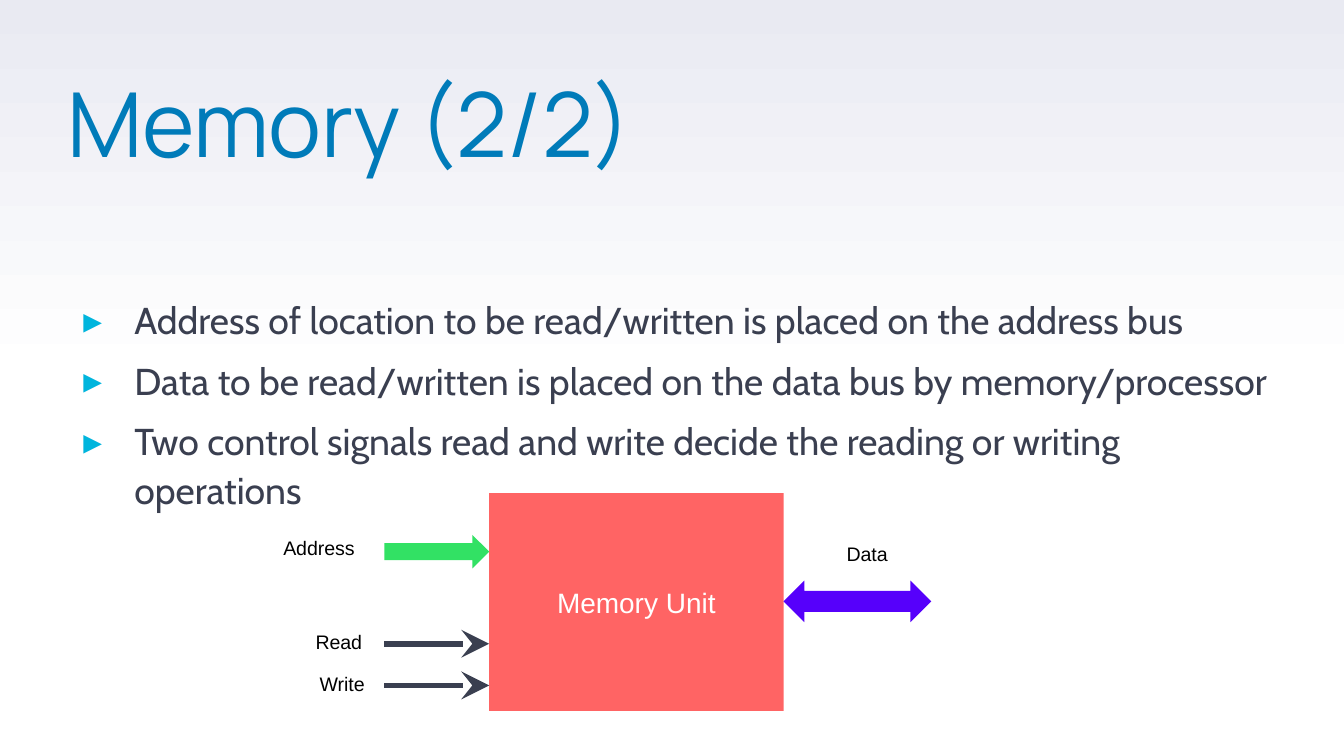
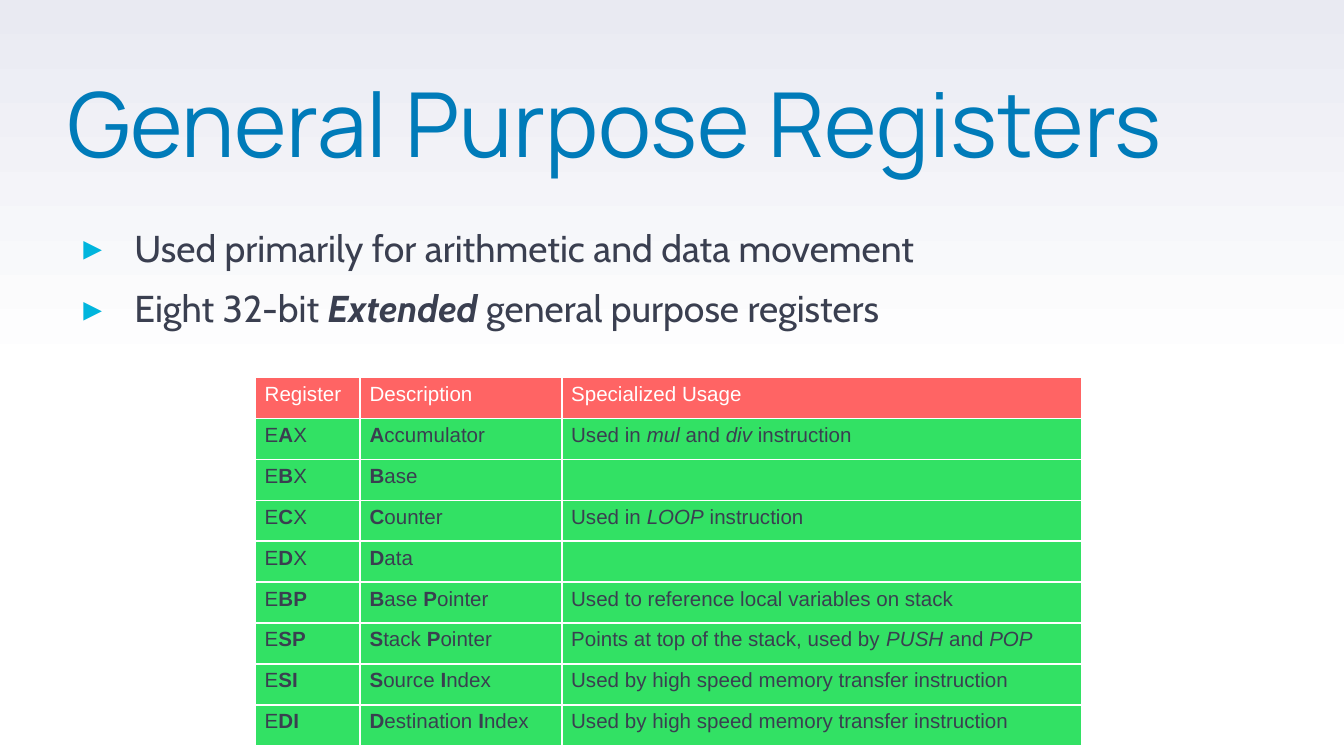
import lxml.etree
import pptx
import pptx.dml.color
import pptx.enum.shapes
import pptx.enum.text
import pptx.oxml.ns
import pptx.util

Inches = pptx.util.Inches
Pt = pptx.util.Pt
qn = pptx.oxml.ns.qn
SHAPE = pptx.enum.shapes.MSO_SHAPE
ALIGN = pptx.enum.text.PP_ALIGN
ANCHOR = pptx.enum.text.MSO_ANCHOR

COLORS = {
    "title": "007BB9",
    "body": "3A3F50",
    "bullet": "00B5DD",
    "red": "FF6464",
    "green": "32E164",
    "purple": "5600FB",
    "white": "FFFFFF",
    "black": "000000",
    "haze": "E9EAF2",
}


def rgb(name):
    return pptx.dml.color.RGBColor.from_string(COLORS[name])


def add_node(parent, tag, **attrs):
    return lxml.etree.SubElement(parent, qn(tag), **attrs)


def add_color(parent, name):
    add_node(parent, "a:srgbClr", val=COLORS[name])


def write(para, text, size=10.5, font="Arial", color="black", align=None,
          leading=None, before=None):
    para.alignment = align
    if leading:
        para.line_spacing = leading
    if before:
        para.space_before = Pt(before)
    for i, chunk in enumerate(text.split("*")):
        for j, part in enumerate(chunk.split("_")):
            if part:
                run = para.add_run()
                run.text = part
                run.font.size = Pt(size)
                run.font.name = font
                run.font.color.rgb = rgb(color)
                run.font.bold = i % 2 == 1
                run.font.italic = j % 2 == 1
    if not text:
        add_node(para._p, "a:endParaRPr", sz=str(int(size * 100)))


class Deck:
    def __init__(self):
        self.prs = pptx.Presentation()
        self.prs.slide_width = Inches(10)
        self.prs.slide_height = Inches(10 * 9 / 16)
        self.slide = None

    def start(self, title):
        self.slide = self.prs.slides.add_slide(self.prs.slide_layouts[6])
        fill = self.slide.background.fill
        fill.gradient()
        fill.gradient_angle = 90
        stops = next(self.slide.element.iter(qn("a:gsLst")))
        for stop in list(stops):
            stops.remove(stop)
        for place, color in ((0, "white"), (50, "white"), (100, "haze")):
            add_color(add_node(stops, "a:gs", pos=str(place * 1000)), color)
        frame = self.frame(0.5, 0.66, 8.96, 1.18)
        write(frame.paragraphs[0], title, size=48, font="Manrope",
              color="title", leading=0.8)

    def frame(self, x, y, w, h):
        box = self.slide.shapes.add_textbox(Inches(x), Inches(y), Inches(w), Inches(h))
        frame = box.text_frame
        frame.word_wrap = True
        frame.margin_left = frame.margin_right = 0
        frame.margin_top = frame.margin_bottom = 0
        return frame

    def bullets(self, y, items):
        frame = self.frame(0.5, y, 8.96, 2.93)
        for i, item in enumerate(items):
            para = frame.add_paragraph() if i else frame.paragraphs[0]
            write(para, item, size=20, font="Cabin", color="body", leading=1.1, before=6)
            props = para._p.get_or_add_pPr()
            props.set("marL", str(Inches(0.5)))
            props.set("indent", str(Inches(-0.38)))
            add_color(add_node(props, "a:buClr"), "bullet")
            add_node(props, "a:buFont", typeface="Cabin")
            add_node(props, "a:buChar", char="▸")

    def label(self, x, y, w, text):
        box = self.slide.shapes.add_textbox(Inches(x), Inches(y), Inches(w), Inches(0.28))
        box.text_frame.word_wrap = False
        box.text_frame.auto_size = pptx.enum.text.MSO_AUTO_SIZE.SHAPE_TO_FIT_TEXT
        write(box.text_frame.paragraphs[0], text)

    def shape(self, kind, x, y, w, h, color, text=None):
        shape = self.slide.shapes.add_shape(kind, Inches(x), Inches(y), Inches(w), Inches(h))
        shape.shadow.inherit = False
        shape.fill.solid()
        shape.fill.fore_color.rgb = rgb(color)
        shape.line.fill.background()
        if text:
            shape.text_frame.vertical_anchor = ANCHOR.MIDDLE
            write(shape.text_frame.paragraphs[0], text, size=15,
                  color="white", align=ALIGN.CENTER)

    def arrow(self, x, y, end):
        line = self.slide.shapes.add_connector(
            pptx.enum.shapes.MSO_CONNECTOR.STRAIGHT,
            Inches(x), Inches(y), Inches(end), Inches(y))
        line.line.color.rgb = rgb("body")
        line.line.width = Pt(3)
        add_node(line.line._get_or_add_ln(), "a:tailEnd", type="stealth", w="lg", len="lg")
        add_node(line._element.spPr, "a:effectLst")

    def table(self, x, y, widths, height, rows):
        table = self.slide.shapes.add_table(
            len(rows), len(widths), Inches(x), Inches(y),
            Inches(sum(widths)), Inches(height)).table
        table.horz_banding = False
        for column, width in zip(table.columns, widths):
            column.width = Inches(width)
        for r, row in enumerate(rows):
            for c, text in enumerate(row):
                self.cell(table.cell(r, c), text, r == 0)

    def cell(self, cell, text, head):
        cell.margin_left = cell.margin_right = Inches(0.07)
        cell.margin_top = cell.margin_bottom = Inches(0.04)
        write(cell.text_frame.paragraphs[0], text, size=11,
              color="white" if head else "body")
        props = cell._tc.get_or_add_tcPr()
        for side in "LRTB":
            edge = add_node(props, f"a:ln{side}", w=str(Pt(1)))
            add_color(add_node(edge, "a:solidFill"), "white")
        cell.fill.solid()
        cell.fill.fore_color.rgb = rgb("red" if head else "green")


def draw_memory(deck):
    deck.start("Memory (2/2)")
    deck.bullets(2.18, [
        "Address of location to be read/written is placed on the address bus",
        "Data to be read/written is placed on the data bus by memory/processor",
        "Two control signals read and write decide the reading or writing operations",
    ])
    start, left, right = 2.86, 3.64, 5.83
    deck.shape(SHAPE.RECTANGLE, left, 3.67, right - left, 1.62, "red", "Memory Unit")
    deck.shape(SHAPE.RIGHT_ARROW, start, 3.98, left - start, 0.25, "green")
    deck.shape(SHAPE.LEFT_RIGHT_ARROW, right, 4.32, 1.1, 0.31, "purple")
    for y in (4.79, 5.1):
        deck.arrow(start, y, left)
    deck.label(2.01, 3.94, 0.74, "Address")
    deck.label(2.25, 4.64, 0.56, "Read")
    deck.label(2.28, 4.95, 0.55, "Write")
    deck.label(6.2, 3.98, 0.51, "Data")


def draw_registers(deck):
    deck.start("General Purpose Registers")
    deck.bullets(1.64, [
        "Used primarily for arithmetic and data movement",
        "Eight 32-bit *_Extended_* general purpose registers",
    ])
    speed = "Used by high speed memory transfer instruction"
    deck.table(1.9, 2.81, (0.78, 1.5, 3.87), 2.74, [
        ("Register", "Description", "Specialized Usage"),
        ("E*A*X", "*A*ccumulator", "Used in _mul_ and _div_ instruction"),
        ("E*B*X", "*B*ase", ""),
        ("E*C*X", "*C*ounter", "Used in _LOOP_ instruction"),
        ("E*D*X", "*D*ata", ""),
        ("E*BP*", "*B*ase *P*ointer", "Used to reference local variables on stack"),
        ("E*SP*", "*S*tack *P*ointer",
         "Points at top of the stack, used by _PUSH_ and _POP_"),
        ("E*SI*", "*S*ource *I*ndex", speed),
        ("E*DI*", "*D*estination *I*ndex", speed),
    ])


def main():
    deck = Deck()
    draw_memory(deck)
    draw_registers(deck)
    deck.prs.save("out.pptx")


if __name__ == "__main__":
    main()
